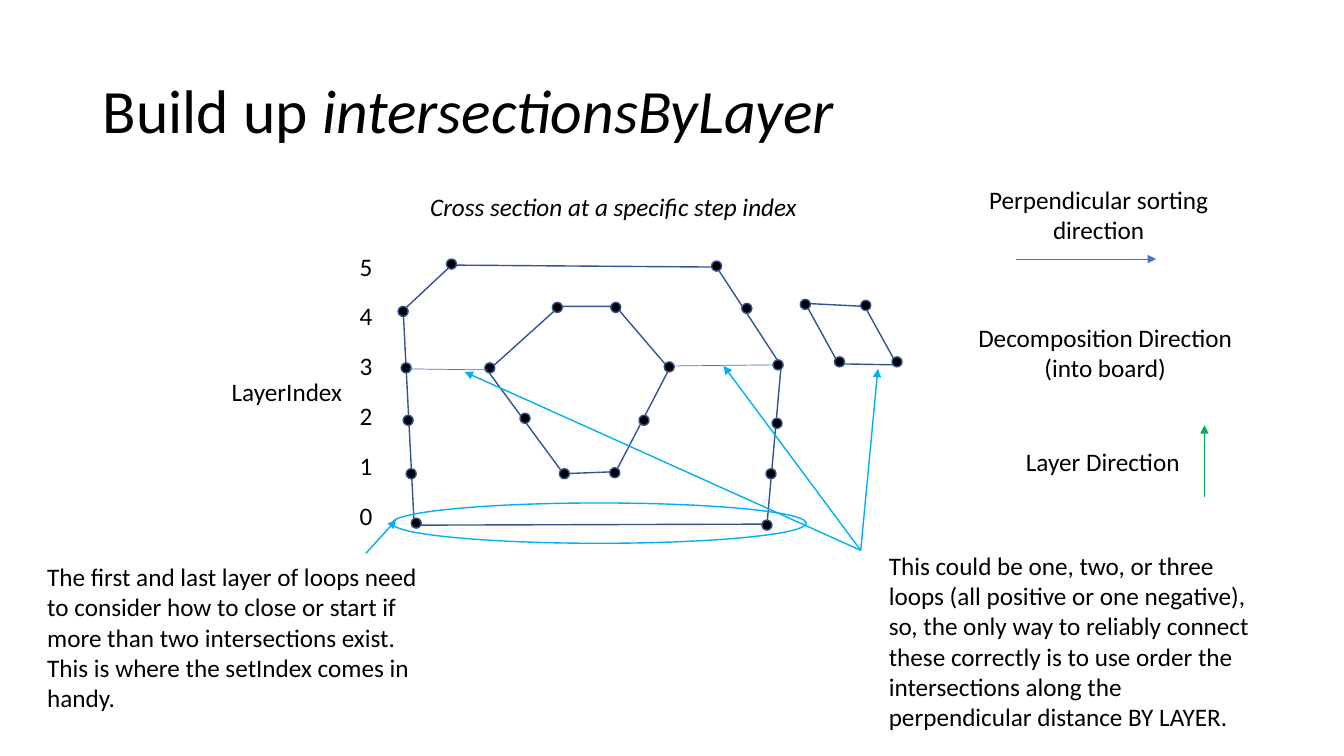
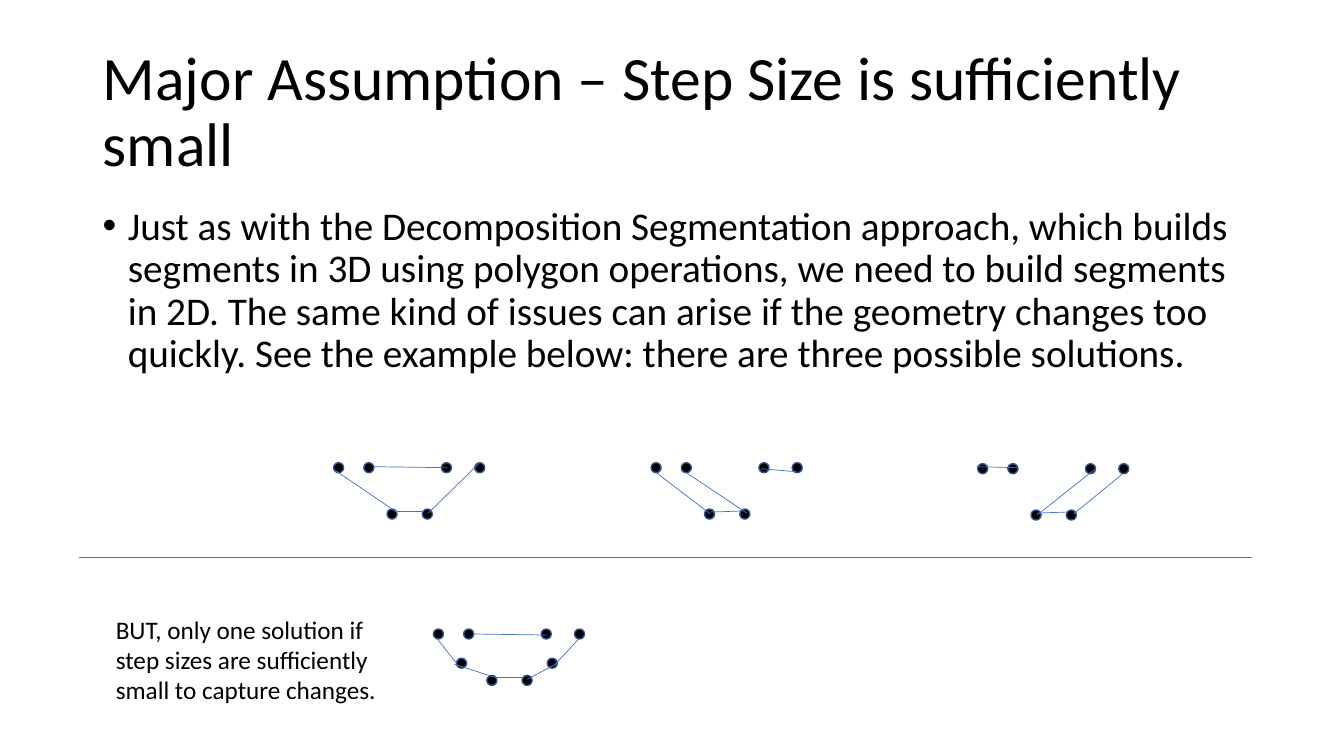
import dataclasses
import typing

import lxml.etree
import pptx
import pptx.dml.color
import pptx.enum.shapes
import pptx.enum.text
import pptx.oxml.ns
import pptx.util

qn = pptx.oxml.ns.qn
Align = pptx.enum.text.PP_ALIGN
Anchor = pptx.enum.text.MSO_ANCHOR
Preset = pptx.enum.shapes.MSO_SHAPE
Point = tuple[float, float]
Box = tuple[float, float, float, float]


@dataclasses.dataclass(frozen=True)
class Theme:
    """Colours, type sizes and line widths of the deck."""
    font: str = "Calibri"
    text: str = "000000"
    outline: str = "325491"
    link: str = "4472C4"
    callout: str = "00B0F0"
    layer: str = "00B050"
    title_pt: int = 44
    body_pt: int = 28
    note_pt: int = 18
    thin: float = 0.5
    normal: float = 1
    dot: float = 0.1
    line_spacing: float = 0.9


class Run(typing.NamedTuple):
    """A stretch of text."""
    text: str
    italic: bool = False


@dataclasses.dataclass(frozen=True)
class Note:
    """A text box; every entry of lines is a paragraph."""
    box: Box
    lines: tuple[Run, ...]
    wrap: bool = True
    align: Align = Align.LEFT
    gap_pt: float = 0


class Link(typing.NamedTuple):
    """A straight line, with an arrowhead at its end if wanted."""
    start: Point
    end: Point
    color: str
    width: float
    arrow: bool = False


class Section(typing.NamedTuple):
    """A small loop section: its origin, links and extra dots."""
    origin: Point
    links: tuple[tuple[Point, Point], ...]
    extra_dots: tuple[Point, ...] = ()


THEME = Theme()
TITLE_BOX = (0.92, 0.4, 11.5, 1.45)


def inch(value: float) -> pptx.util.Cm:
    """Turn a length on the inch grid into centimetres."""
    return pptx.util.Cm(value * 2.54)


def rgb(color: str) -> pptx.dml.color.RGBColor:
    """Read a hex colour."""
    return pptx.dml.color.RGBColor.from_string(color)


def add_run(p, run: Run, size: float) -> None:
    """Add one formatted run to a paragraph."""
    r = p.add_run()
    r.text = run.text
    r.font.name = THEME.font
    r.font.size = pptx.util.Pt(size)
    r.font.italic = run.italic
    r.font.color.rgb = rgb(THEME.text)


def add_slide(prs, *title: Run):
    """Add a title-only slide and set its title."""
    s = prs.slides.add_slide(prs.slide_layouts[5])
    sp = s.shapes.title
    sp.left, sp.top, sp.width, sp.height = map(inch, TITLE_BOX)
    sp.text_frame.vertical_anchor = Anchor.MIDDLE
    p = sp.text_frame.paragraphs[0]
    p.alignment = Align.LEFT
    p.line_spacing = THEME.line_spacing
    for run in title:
        add_run(p, run, THEME.title_pt)
    return s


def add_note(s, note: Note, size: float = THEME.note_pt):
    """Add a text box and return its text frame."""
    tf = s.shapes.add_textbox(*map(inch, note.box)).text_frame
    tf.word_wrap = note.wrap
    for i, run in enumerate(note.lines):
        p = tf.add_paragraph() if i else tf.paragraphs[0]
        p.alignment = note.align
        if i and note.gap_pt:
            p.space_before = pptx.util.Pt(note.gap_pt)
        add_run(p, run, size)
    return tf


def add_bullet(s, box: Box, text: str) -> None:
    """Add a bulleted body paragraph."""
    p = add_note(s, Note(box, (Run(text),)), THEME.body_pt).paragraphs[0]
    p.line_spacing = THEME.line_spacing
    p.space_before = pptx.util.Pt(10)
    pPr = p._p.get_or_add_pPr()
    pPr.set("marL", str(inch(0.25)))
    pPr.set("indent", str(-inch(0.25)))
    lxml.etree.SubElement(pPr, qn("a:buFont"), typeface="Arial")
    lxml.etree.SubElement(pPr, qn("a:buChar"), char="•")


def style_outline(sp, color: str, fill: str | None = None) -> None:
    """Give a shape its outline and fill, without a shadow."""
    sp.shadow.inherit = False
    if fill:
        sp.fill.solid()
        sp.fill.fore_color.rgb = rgb(fill)
    else:
        sp.fill.background()
    sp.line.color.rgb = rgb(color)
    sp.line.width = pptx.util.Pt(THEME.normal)


def add_dots(s, corners: typing.Iterable[Point]) -> None:
    """Add intersection dots at their top left corners."""
    for x, y in corners:
        sp = s.shapes.add_shape(Preset.FLOWCHART_CONNECTOR,
                                *map(inch, (x, y, THEME.dot, THEME.dot)))
        style_outline(sp, THEME.outline, THEME.text)


def add_loop(s, points: typing.Sequence[Point]) -> None:
    """Add a closed polygon."""
    start, *rest = [(inch(x), inch(y)) for x, y in points]
    builder = s.shapes.build_freeform(*start)
    builder.add_line_segments(rest, close=True)
    style_outline(builder.convert_to_shape(), THEME.outline)


def add_link(s, link: Link) -> None:
    """Add a straight connector."""
    cx = s.shapes.add_connector(pptx.enum.shapes.MSO_CONNECTOR.STRAIGHT,
                                *map(inch, link.start + link.end))
    cx.line.color.rgb = rgb(link.color)
    cx.line.width = pptx.util.Pt(link.width)
    if link.arrow:
        lxml.etree.SubElement(cx.line._get_or_add_ln(), qn("a:tailEnd"),
                              type="triangle")
    lxml.etree.SubElement(cx._element.spPr, qn("a:effectLst"))


def add_section(s, section: Section) -> None:
    """Add the six shared dots, the extra dots and the links of a section."""
    ox, oy = section.origin
    add_dots(s, [(ox + x, oy + y) for x, y in SECTION_DOTS + section.extra_dots])
    for (x1, y1), (x2, y2) in section.links:
        add_link(s, Link((ox + x1, oy + y1), (ox + x2, oy + y2),
                         THEME.link, THEME.thin))


OUTER_LOOP = ((7.11, 2.65), (4.48, 2.63), (4, 3.08), (4.11, 5.21),
              (7.61, 5.2), (7.75, 3.63))
INNER_LOOP = ((4.84, 3.68), (5.55, 3.04), (6.11, 3.04), (6.64, 3.66),
              (6.11, 4.68), (5.59, 4.7))
SIDE_LOOP = ((7.99, 3.01), (8.32, 3.61), (8.9, 3.62), (8.58, 3.04))
LOOP_DOTS = (
    (7.36, 3.01), (4.08, 5.14), (4.03, 4.65), (4, 4.12), (7.56, 5.16),
    (3.98, 3.6), (3.95, 3.04), (4.81, 3.6), (5.55, 4.65), (5.16, 4.1),
    (6.05, 4.64), (6.34, 4.12), (7.66, 4.15), (6.59, 3.59), (7.67, 3.57),
    (6.06, 3), (7.06, 2.59), (4.43, 2.57), (5.48, 3), (7.94, 2.97),
    (8.54, 2.98), (8.28, 3.54), (8.85, 3.54), (7.6, 4.65))
CALLOUT_START = (8.54, 5.46)
CALLOUTS = ((CALLOUT_START, (4.61, 3.69)), (CALLOUT_START, (7.18, 3.63)),
            (CALLOUT_START, (8.71, 3.66)), ((3.63, 5.49), (3.93, 5.16)))
LAYER_LINKS = (
    Link((4.06, 3.66), (4.84, 3.67), THEME.link, THEME.thin),
    Link((6.7, 3.63), (7.67, 3.62), THEME.link, THEME.thin),
    Link((11.95, 4.93), (11.95, 4.22), THEME.layer, THEME.thin, True),
    Link((10.08, 2.57), (11.47, 2.57), THEME.link, THEME.thin, True),
    *(Link(a, b, THEME.callout, THEME.normal, True) for a, b in CALLOUTS))
LAYER_NOTES = (
    Note((4.17, 1.85, 3.97, 0.4),
         (Run("Cross section at a specific step index ", True),), wrap=False),
    Note((8.72, 5.41, 3.97, 1.92),
         (Run("This could be one, two, or three loops (all positive or one "
              "negative), so, the only way to reliably connect these correctly "
              "is to use order the intersections along the perpendicular "
              "distance BY LAYER."),)),
    Note((0.37, 5.52, 3.97, 1.62),
         (Run("The first and last layer of loops need to consider how to close "
              "or start if more than two intersections exist. This is where "
              "the setIndex comes in handy."),)),
    Note((3.47, 2.44, 0.33, 3.33), tuple(Run(n) for n in "543210"),
         wrap=False, gap_pt=14),
    Note((2.2, 3.68, 1.31, 0.4), (Run("LayerIndex"),), wrap=False),
    Note((9.59, 3.15, 2.75, 1.01),
         (Run("Decomposition Direction"), Run("(into board)")),
         wrap=False, align=Align.CENTER),
    Note((9.59, 1.78, 2.62, 0.71), (Run("Perpendicular sorting direction"),),
         align=Align.CENTER),
    Note((10.08, 4.38, 1.75, 0.4), (Run("Layer Direction"),), wrap=False))

SECTION_DOTS = ((0, 0), (0.3, 0), (1.07, 0), (1.4, 0), (0.53, 0.46), (0.88, 0.46))
SECTIONS = (
    Section((3.31, 4.59), (((0.02, 0.08), (0.61, 0.48)),
                           ((0.61, 0.48), (0.9, 0.48)),
                           ((0.94, 0.5), (1.45, 0)),
                           ((0.4, 0.04), (1.13, 0.05)))),
    Section((6.46, 4.59), (((0.04, 0.09), (0.59, 0.51)),
                           ((0.35, 0.1), (0.95, 0.5)),
                           ((0.59, 0.49), (0.89, 0.48)),
                           ((1.09, 0.06), (1.44, 0.09)))),
    Section((9.7, 4.6), (((1.17, 0.05), (0.59, 0.51)),
                         ((1.44, 0.1), (0.95, 0.5)),
                         ((0.59, 0.49), (0.89, 0.48)),
                         ((-0.01, 0.03), (0.39, 0.04)))),
    Section((4.3, 6.24), (((0.21, 0.35), (0.61, 0.48)),
                          ((0.61, 0.48), (0.89, 0.48)),
                          ((0.93, 0.5), (1.23, 0.34)),
                          ((0.4, 0.05), (1.13, 0.06)),
                          ((1.2, 0.36), (1.44, 0.1)),
                          ((0.23, 0.34), (0.04, 0.1))),
            extra_dots=((0.23, 0.29), (1.13, 0.29))))


def build_layers_slide(prs) -> None:
    """Build the slide on intersections by layer."""
    s = add_slide(prs, Run("Build up "), Run("intersectionsByLayer", True))
    for loop in (INNER_LOOP, OUTER_LOOP, SIDE_LOOP):
        add_loop(s, loop)
    add_dots(s, LOOP_DOTS)
    first_layer = s.shapes.add_shape(Preset.OVAL, *map(inch, (3.89, 4.99, 4.11, 0.4)))
    style_outline(first_layer, THEME.callout)
    for link in LAYER_LINKS:
        add_link(s, link)
    for note in LAYER_NOTES:
        add_note(s, note)


def build_step_size_slide(prs) -> None:
    """Build the slide on the step size assumption."""
    s = add_slide(prs, Run("Major Assumption – Step Size is sufficiently small"))
    add_bullet(s, (0.92, 2, 11.5, 4.76),
               "Just as with the Decomposition Segmentation approach, which "
               "builds segments in 3D using polygon operations, we need to build "
               "segments in 2D. The same kind of issues can arise if the geometry "
               "changes too quickly. See the example below: there are three "
               "possible solutions.")
    for section in SECTIONS:
        add_section(s, section)
    add_note(s, Note((1.05, 6.04, 2.98, 1.01),
                     (Run("BUT, only one solution if step sizes are sufficiently "
                          "small to capture changes."),)))
    add_link(s, Link((0.78, 5.53), (12.42, 5.53), THEME.link, THEME.thin))


def main() -> None:
    """Build and save the deck."""
    prs = pptx.Presentation()
    prs.slide_width, prs.slide_height = pptx.util.Cm(33.87), pptx.util.Cm(19.05)
    build_layers_slide(prs)
    build_step_size_slide(prs)
    prs.save("out.pptx")


main()
